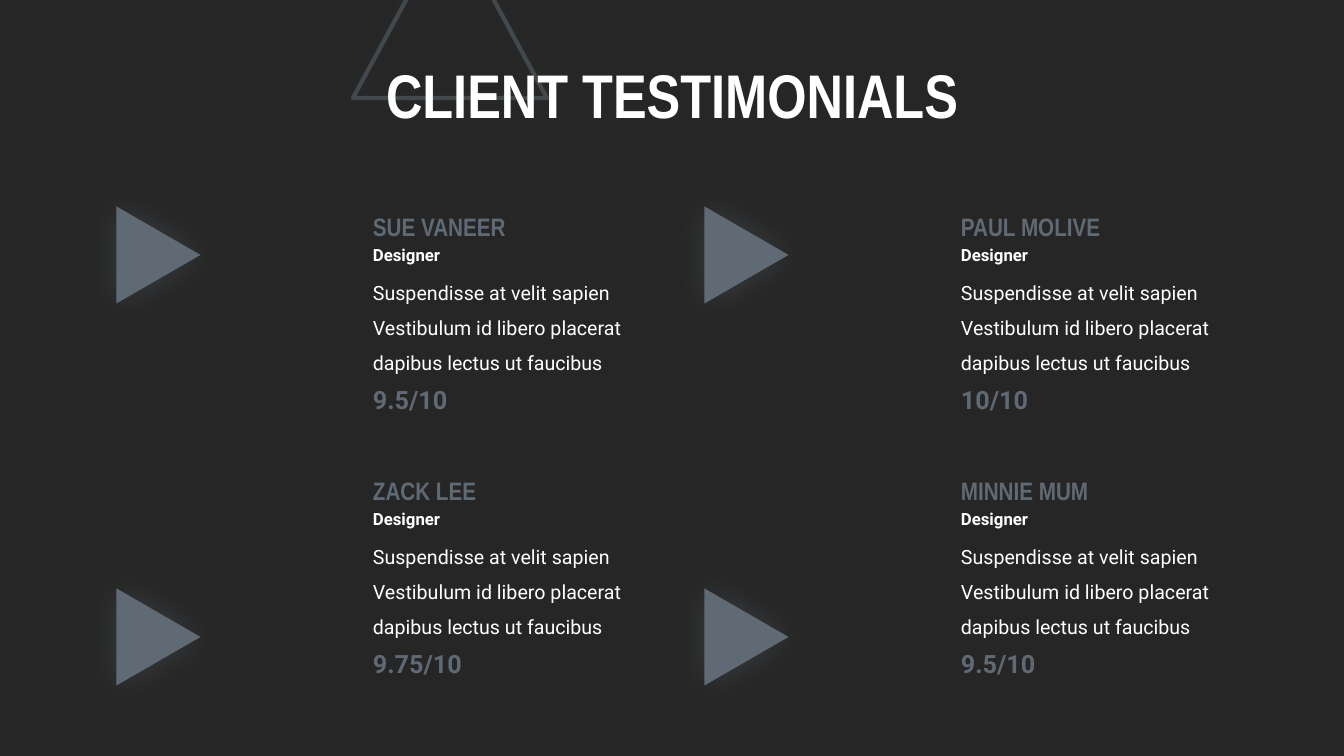
from lxml.etree import SubElement
from pptx import Presentation
from pptx.dml.color import RGBColor
from pptx.enum.shapes import MSO_SHAPE
from pptx.enum.text import MSO_ANCHOR, MSO_AUTO_SIZE, PP_ALIGN
from pptx.oxml.ns import qn
from pptx.util import Pt

TITLE = "CLIENT TESTIMONIALS"
ROLE = "Designer"
QUOTE = ("Suspendisse at velit sapien Vestibulum id libero placerat "
         "dapibus lectus ut faucibus")
CLIENTS = [
    [("SUE VANEER", "9.5/10"), ("PAUL MOLIVE", "10/10")],
    [("ZACK LEE", "9.75/10"), ("MINNIE MUM", "9.5/10")],
]
DARK, SLATE, WHITE = "262626", "606A74", "FFFFFF"
HEAD, BODY = "Arial Narrow", "Roboto"
PX = 914400 / 100.8
COL_GAP, ROW_GAP = 588, 264
TEXT_X, TEXT_Y = 363, 206
MARK_X, MARK_YS = 110, (213, 595)


def px(*nums):
    return [round(n * PX) for n in nums]


def color(code):
    return RGBColor.from_string(code)


def add_text(text, box, size, font=BODY, fill=WHITE, bold=True,
             space=None, align=PP_ALIGN.LEFT, anchor=MSO_ANCHOR.TOP,
             fit=MSO_AUTO_SIZE.SHAPE_TO_FIT_TEXT):
    frame = slide.shapes.add_textbox(*px(*box)).text_frame
    frame.word_wrap = True
    frame.auto_size = fit
    frame.vertical_anchor = anchor
    para = frame.paragraphs[0]
    para.alignment = align
    if space:
        para.line_spacing = space
    run = para.add_run()
    run.text = text
    run.font.name = font
    run.font.size = Pt(size)
    run.font.bold = bold
    run.font.color.rgb = color(fill)


def add_alpha(node, percent):
    SubElement(node, qn("a:alpha"), val=str(percent * 1000))


def add_mark(box, turn=0, hollow=False):
    """Add a triangle with a soft glow, either filled or outlined."""
    mark = slide.shapes.add_shape(MSO_SHAPE.ISOSCELES_TRIANGLE, *px(*box))
    mark.rotation = turn
    mark.shadow.inherit = False
    if hollow:
        mark.fill.background()
        mark.line.width = Pt(3)
        mark.line.color.rgb = color(SLATE)
        add_alpha(mark.line._ln.find(".//" + qn("a:srgbClr")), 50)
    else:
        mark.fill.solid()
        mark.fill.fore_color.rgb = color(SLATE)
        mark.line.fill.background()
    effects = mark._element.spPr.find(qn("a:effectLst"))
    glow = SubElement(effects, qn("a:outerShdw"), blurRad=str(Pt(25)),
                      dist="0", dir="0", algn="ctr", rotWithShape="0")
    add_alpha(SubElement(glow, qn("a:srgbClr"), val=SLATE), 35)


deck = Presentation()
deck.slide_width, deck.slide_height = px(1344, 756)
slide = deck.slides.add_slide(deck.slide_layouts[6])
slide.background.fill.solid()
slide.background.fill.fore_color.rgb = color(DARK)

add_mark((353, -81, 194, 179), hollow=True)
add_text(TITLE, (330, 49, 685, 99), 44, font=HEAD, space=0.9,
         align=PP_ALIGN.CENTER, anchor=MSO_ANCHOR.MIDDLE,
         fit=MSO_AUTO_SIZE.NONE)

for row, clients in enumerate(CLIENTS):
    for col, (name, score) in enumerate(clients):
        x, y = TEXT_X + col * COL_GAP, TEXT_Y + row * ROW_GAP
        add_text(QUOTE, (x, y + 58, 286, 113), 14, bold=False, space=1.5)
        add_text(name, (x, y, 186, 40), 18, font=HEAD, fill=SLATE)
        add_text(ROLE, (x, y + 34, 105, 30), 12)
        add_text(score, (x, y + 173, 150, 40), 18, fill=SLATE)
        add_mark((MARK_X + col * COL_GAP, MARK_YS[row], 97, 84), turn=90)

deck.save("out.pptx")
